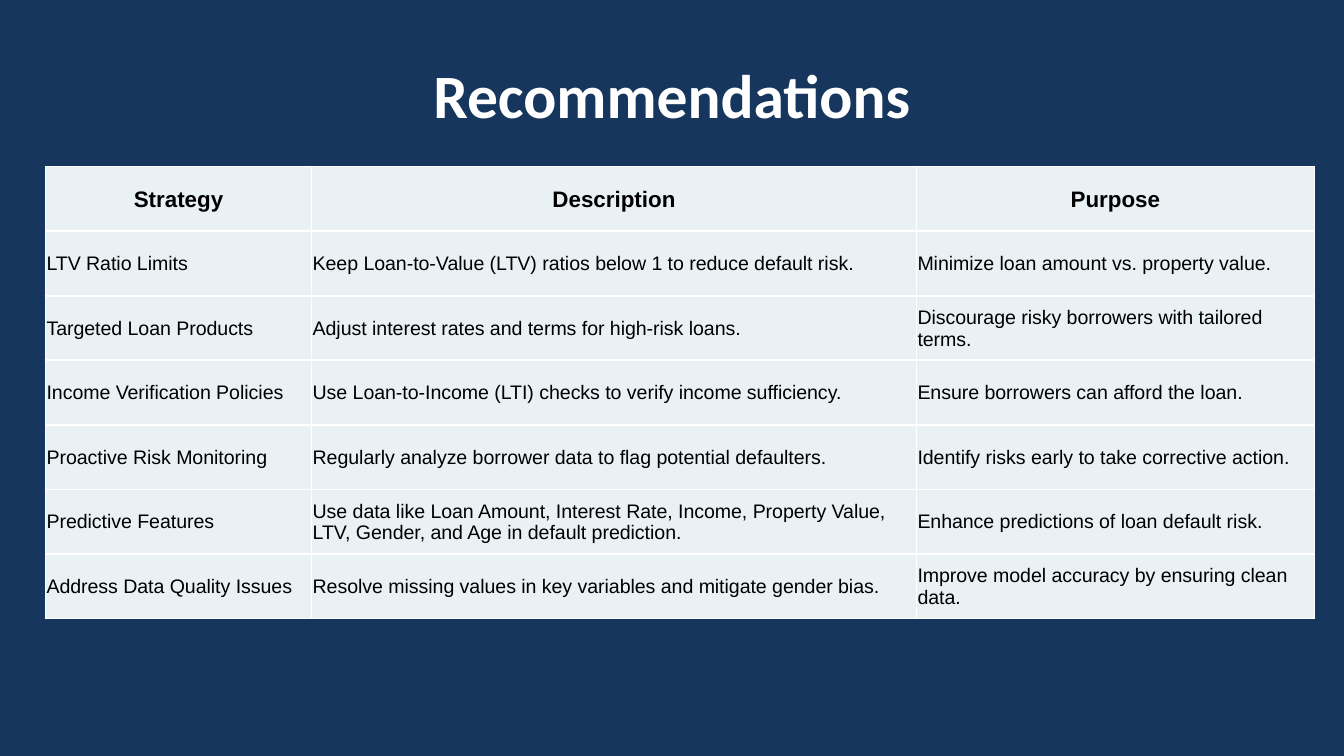
from lxml import etree
from pptx import Presentation
from pptx.dml.color import RGBColor
from pptx.enum.text import MSO_ANCHOR, PP_ALIGN
from pptx.oxml.ns import qn
from pptx.util import Cm, Pt

MIDDLE = MSO_ANCHOR.MIDDLE
CENTER = PP_ALIGN.CENTER
LEFT = PP_ALIGN.LEFT

NAVY = RGBColor(0x17, 0x36, 0x5D)
WHITE = RGBColor(0xFF, 0xFF, 0xFF)
BLACK = RGBColor(0x00, 0x00, 0x00)
PALE_BLUE = RGBColor(0xE9, 0xF1, 0xF5)

COLUMN_WIDTHS = [5.03, 11.43, 7.52]
ROW_HEIGHT = 1.22
RECOMMENDATIONS = [
    ("Strategy", "Description", "Purpose"),
    ("LTV Ratio Limits",
     "Keep Loan-to-Value (LTV) ratios below 1 to reduce default risk.",
     "Minimize loan amount vs. property value."),
    ("Targeted Loan Products",
     "Adjust interest rates and terms for high-risk loans.",
     "Discourage risky borrowers with tailored terms."),
    ("Income Verification Policies",
     "Use Loan-to-Income (LTI) checks to verify income sufficiency.",
     "Ensure borrowers can afford the loan."),
    ("Proactive Risk Monitoring",
     "Regularly analyze borrower data to flag potential defaulters.",
     "Identify risks early to take corrective action."),
    ("Predictive Features",
     "Use data like Loan Amount, Interest Rate, Income, Property Value, "
     "LTV, Gender, and Age in default prediction.",
     "Enhance predictions of loan default risk."),
    ("Address Data Quality Issues",
     "Resolve missing values in key variables and mitigate gender bias.",
     "Improve model accuracy by ensuring clean data."),
]


class SlideBuilder:
    title_font = "Calibri"
    table_font = "Arial"
    title_size = 33
    header_size = 12
    body_size = 10.5
    border_width = 1

    def __init__(self, slide):
        self.slide = slide

    def background(self, color):
        fill = self.slide.background.fill
        fill.solid()
        fill.fore_color.rgb = color

    def format_text(self, text_frame, font_name, size, color, bold, alignment):
        for paragraph in text_frame.paragraphs:
            paragraph.alignment = alignment
            for run in paragraph.runs:
                run.font.name = font_name
                run.font.size = Pt(size)
                run.font.bold = bold
                run.font.color.rgb = color

    def title(self, text, left, top, width, height):
        shape = self.slide.shapes.add_textbox(Cm(left), Cm(top), Cm(width), Cm(height))
        text_frame = shape.text_frame
        text_frame.word_wrap = True
        text_frame.vertical_anchor = MIDDLE
        text_frame.text = text
        self.format_text(text_frame, self.title_font, self.title_size, WHITE, True, CENTER)

    def borders(self, cell, color):
        properties = cell._tc.get_or_add_tcPr()
        for side in ("a:lnL", "a:lnR", "a:lnT", "a:lnB"):
            line = etree.SubElement(properties, qn(side), w=str(Pt(self.border_width)))
            fill = etree.SubElement(line, qn("a:solidFill"))
            etree.SubElement(fill, qn("a:srgbClr"), val=str(color))

    def cell(self, cell, text, is_header):
        cell.margin_left = cell.margin_right = cell.margin_top = Cm(0.02)
        cell.margin_bottom = Cm(0)
        cell.vertical_anchor = MIDDLE
        self.borders(cell, WHITE)
        cell.fill.solid()
        cell.fill.fore_color.rgb = PALE_BLUE
        cell.text_frame.text = text
        size = self.header_size if is_header else self.body_size
        alignment = CENTER if is_header else LEFT
        self.format_text(cell.text_frame, self.table_font, size, BLACK, is_header, alignment)

    def table(self, rows, left, top, column_widths, row_height):
        shape = self.slide.shapes.add_table(
            len(rows), len(column_widths), Cm(left), Cm(top),
            Cm(sum(column_widths)), Cm(row_height * len(rows)))
        table = shape.table
        for column, width in zip(table.columns, column_widths):
            column.width = Cm(width)
        for row_index, (row, texts) in enumerate(zip(table.rows, rows)):
            row.height = Cm(row_height)
            for cell, text in zip(row.cells, texts):
                self.cell(cell, text, row_index == 0)


def main():
    presentation = Presentation()
    presentation.slide_width = Cm(25.4)
    presentation.slide_height = Cm(14.29)
    slide = presentation.slides.add_slide(presentation.slide_layouts[6])
    builder = SlideBuilder(slide)
    builder.background(NAVY)
    builder.title("Recommendations", 1.27, 0.58, 22.86, 2.39)
    builder.table(RECOMMENDATIONS, 0.86, 3.15, COLUMN_WIDTHS, ROW_HEIGHT)
    presentation.save("out.pptx")


if __name__ == "__main__":
    main()
